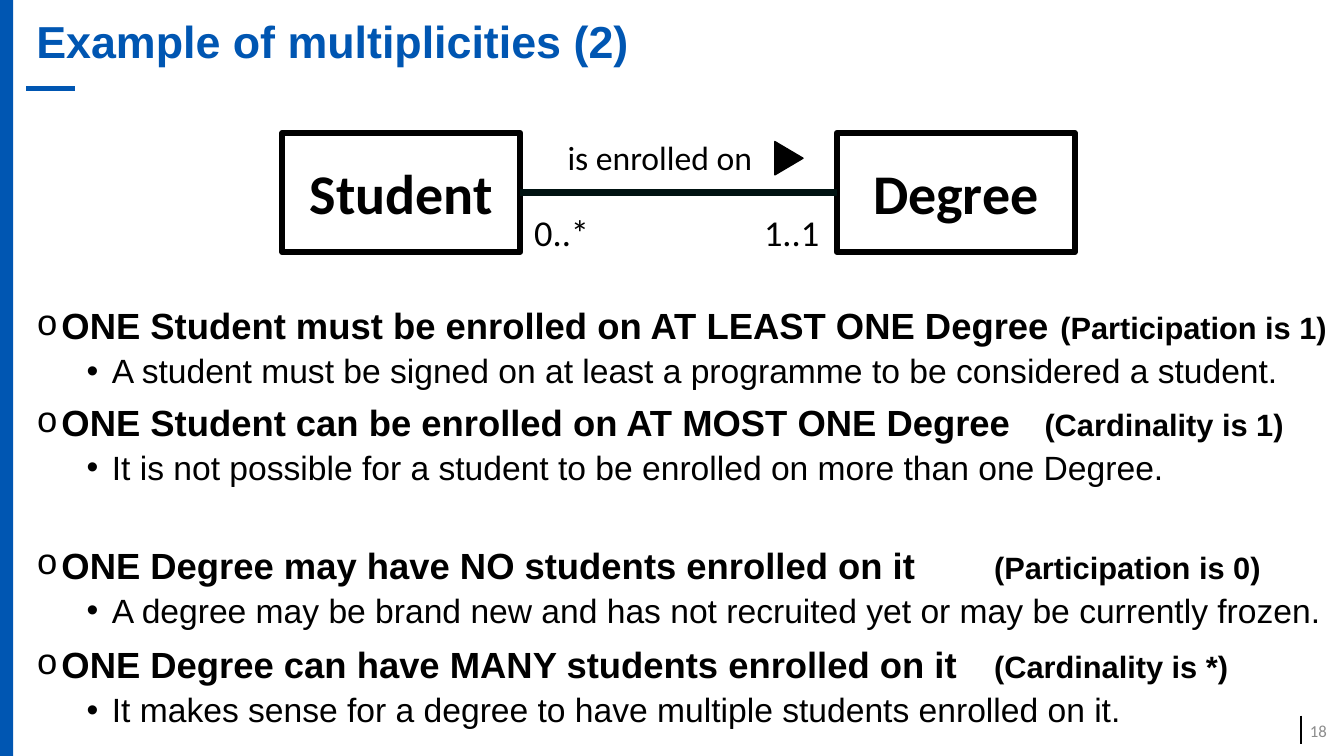
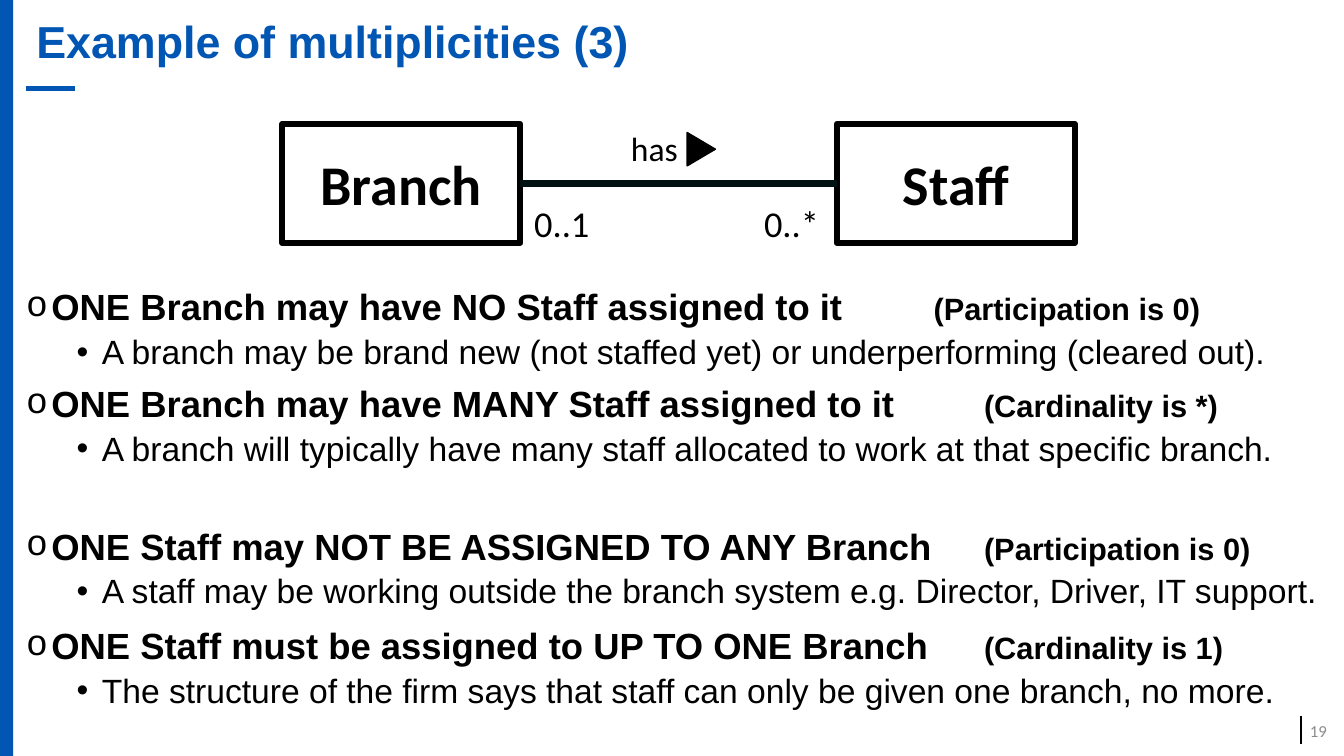
from lxml import etree
from pptx import Presentation
from pptx.dml.color import RGBColor
from pptx.enum.shapes import MSO_CONNECTOR, MSO_SHAPE
from pptx.enum.text import MSO_ANCHOR, MSO_AUTO_SIZE, PP_ALIGN
from pptx.oxml.ns import qn
from pptx.util import Inches, Pt

STRAIGHT = MSO_CONNECTOR.STRAIGHT
RECTANGLE, TRIANGLE = MSO_SHAPE.RECTANGLE, MSO_SHAPE.ISOSCELES_TRIANGLE
MIDDLE, NO_AUTOFIT = MSO_ANCHOR.MIDDLE, MSO_AUTO_SIZE.NONE
LEFT, CENTER, RIGHT = PP_ALIGN.LEFT, PP_ALIGN.CENTER, PP_ALIGN.RIGHT

WIDTH, HEIGHT = Inches(13.33), Inches(7.5)
BLUE, BLACK, LINK, GREY = "0056B2", "000000", "001211", "8C8C8C"
HEADING_FONT, DIAGRAM_FONT = "Arial", "Calibri"

# Diagram columns and sizes, in percent of the slide
BOX_LEFTS, BOX_WIDTH, BOX_HEIGHT = (21, 62.27), 17.7, 15.73
MULTIPLICITY_LEFTS = (39.01, 56.11)

# Space before each of the four statements; the third opens a new group
STATEMENT_GAPS = (10, 10, 43, 12)

PAGES = [
    {
        "title": "Example of multiplicities (2)",
        "number": "18",
        "entities": ("Student", "Degree"),
        "multiplicities": ("0..*", "1..1"),
        "relation": "is enrolled on",
        "relation_left": 41.49,
        "arrow_left": 57.46,
        "diagram_top": 17.6,
        "body": (1.95, 40.13),
        "statements": [
            ("ONE Student must be enrolled on AT LEAST ONE Degree ", "(Participation is 1)",
             "A student must be signed on at least a programme to be considered a student."),
            ("ONE Student can be enrolled on AT MOST ONE Degree\t", "(Cardinality is 1)",
             "It is not possible for a student to be enrolled on more than one Degree."),
            ("ONE Degree may have NO students enrolled on it\t\t", "(Participation is 0)",
             "A degree may be brand new and has not recruited yet or may be currently frozen."),
            ("ONE Degree can have MANY students enrolled on it \t", "(Cardinality is *)",
             "It makes sense for a degree to have multiple students enrolled on it."),
        ],
    },
    {
        "title": "Example of multiplicities (3)",
        "number": "19",
        "entities": ("Branch", "Staff"),
        "multiplicities": ("0..1", "0..*"),
        "relation": "has",
        "relation_left": 46.21,
        "arrow_left": 50.94,
        "diagram_top": 16.4,
        "body": (1.2, 37.6),
        "statements": [
            ("ONE Branch may have NO Staff assigned to it \t\t", "(Participation is 0)",
             "A branch may be brand new (not staffed yet) or underperforming (cleared out)."),
            ("ONE Branch may have MANY Staff assigned to it\t\t", "(Cardinality is *)",
             "A branch will typically have many staff allocated to work at that specific branch."),
            ("ONE Staff may NOT BE ASSIGNED TO ANY Branch\t\t", "(Participation is 0)",
             "A staff may be working outside the branch system e.g. Director, Driver, IT support."),
            ("ONE Staff must be assigned to UP TO ONE Branch \t", "(Cardinality is 1)",
             "The structure of the firm says that staff can only be given one branch, no more."),
        ],
    },
]


def color(hex_string):
    return RGBColor.from_string(hex_string)


def across(percent):
    return round(WIDTH * percent / 100)


def down(percent):
    return round(HEIGHT * percent / 100)


def area(left, top, width, height):
    """Turn percentages of the slide into a position and size."""
    return across(left), down(top), across(width), down(height)


def place(shape, *percents):
    shape.left, shape.top, shape.width, shape.height = area(*percents)


def style(span, size, font, hex_string, bold=False):
    span.font.size = Pt(size)
    span.font.name = font
    span.font.bold = bold
    span.font.color.rgb = color(hex_string)


def add_line(page, start, end, hex_string, width):
    line = page.shapes.add_connector(
        STRAIGHT, across(start[0]), down(start[1]), across(end[0]), down(end[1]))
    line.line.color.rgb = color(hex_string)
    line.line.width = Pt(width)
    etree.SubElement(line.element.spPr, qn("a:effectLst"))
    return line


def add_filled(page, kind, *percents):
    shape = page.shapes.add_shape(kind, *area(*percents))
    shape.shadow.inherit = False
    shape.fill.solid()
    return shape


def add_label(page, text, percents, size, hex_string=BLACK, align=LEFT):
    label = page.shapes.add_textbox(*area(*percents))
    label.text_frame.word_wrap = True
    label.text_frame.text = text
    para = label.text_frame.paragraphs[0]
    para.alignment = align
    style(para.runs[0], size, DIAGRAM_FONT, hex_string)
    return label


def add_entity(page, name, left, top):
    box = page.shapes.add_shape(RECTANGLE, *area(left, top, BOX_WIDTH, BOX_HEIGHT))
    box.shadow.inherit = False
    box.fill.background()
    box.line.color.rgb = color(BLACK)
    box.line.width = Pt(4.5)
    frame = box.text_frame
    frame.text = name
    frame.vertical_anchor = MIDDLE
    frame.paragraphs[0].alignment = CENTER
    style(frame.paragraphs[0].runs[0], 40, DIAGRAM_FONT, BLACK, bold=True)
    return box


def add_diagram(page, content):
    top = content["diagram_top"]
    first, second = [add_entity(page, name, left, top)
                     for name, left in zip(content["entities"], BOX_LEFTS)]
    middle = top + BOX_HEIGHT / 2
    link = add_line(page, (BOX_LEFTS[0] + BOX_WIDTH, middle), (BOX_LEFTS[1], middle), LINK, 5)
    link.begin_connect(first, 3)
    link.end_connect(second, 1)

    arrow = add_filled(page, TRIANGLE, content["arrow_left"], top + 1.47, 2.48, 3.73)
    arrow.rotation = 90
    arrow.fill.fore_color.rgb = color(BLACK)
    arrow.line.color.rgb = color(BLACK)
    arrow.line.width = Pt(1)

    add_label(page, content["relation"], (content["relation_left"], top - 0.13, 19.28, 6.67), 24)
    for text, left in zip(content["multiplicities"], MULTIPLICITY_LEFTS):
        add_label(page, text, (left, top + 9.6, 7.35, 7.2), 26)


def format_item(para, margin, gap, bullet, bullet_font):
    para.line_spacing = 0.9
    para.space_before = Pt(gap)
    para.alignment = LEFT
    properties = para._p.get_or_add_pPr()
    properties.set("marL", str(Inches(margin)))
    properties.set("indent", str(Inches(-0.25)))
    etree.SubElement(properties, qn("a:buFont")).set("typeface", bullet_font)
    etree.SubElement(properties, qn("a:buChar")).set("char", bullet)


def fill_body(body, content):
    place(body, *content["body"], 97.82, 57.87)
    frame = body.text_frame
    frame.auto_size = NO_AUTOFIT
    para = frame.paragraphs[0]
    for index, (statement, kind, reason) in enumerate(content["statements"]):
        if index:
            para = frame.add_paragraph()
        for text, size in ((statement, 26), (kind, 22)):
            span = para.add_run()
            span.text = text
            style(span, size, HEADING_FONT, BLACK, bold=True)
        format_item(para, 0.25, STATEMENT_GAPS[index], "o", "Courier New")

        detail = frame.add_paragraph()
        detail.text = reason
        detail.level = 1
        style(detail.runs[0], 24, HEADING_FONT, BLACK)
        format_item(detail, 0.75, 5, "•", "Arial")


def fill_title(title, text):
    frame = title.text_frame
    frame.text = text
    frame.vertical_anchor = MIDDLE
    frame.auto_size = NO_AUTOFIT
    para = frame.paragraphs[0]
    para.alignment = LEFT
    para.line_spacing = 0.9
    style(para.runs[0], 32, HEADING_FONT, BLUE, bold=True)


def decorate_layout(layout, page):
    """Draw the band and rules on a page, then move them to its layout."""
    place(layout.placeholders[0], 1.95, 0, 97.07, 11.73)
    band = add_filled(page, RECTANGLE, 0, 0, 0.98, 100)
    band.fill.fore_color.rgb = color(BLUE)
    band.line.fill.background()
    number_rule = add_line(page, (96.77, 94.67), (96.77, 98.4), BLACK, 1.5)
    title_rule = add_line(page, (5.55, 11.73), (1.95, 11.73), BLUE, 4)
    for shape in (band, number_rule, title_rule):
        layout.shapes.element.append(shape.element)


def add_page(deck, layout, content):
    page = deck.slides.add_slide(layout)
    if len(deck.slides) == 1:
        decorate_layout(layout, page)
    fill_title(page.shapes.title, content["title"])
    add_diagram(page, content)
    fill_body(page.placeholders[1], content)
    number = add_label(page, content["number"], (96.32, 94, 3.15, 5.33), 12, GREY, RIGHT)
    number.text_frame.vertical_anchor = MIDDLE


def main():
    deck = Presentation()
    deck.slide_width, deck.slide_height = WIDTH, HEIGHT
    layout = deck.slide_layouts[1]
    for content in PAGES:
        add_page(deck, layout, content)
    deck.save("out.pptx")


if __name__ == "__main__":
    main()
